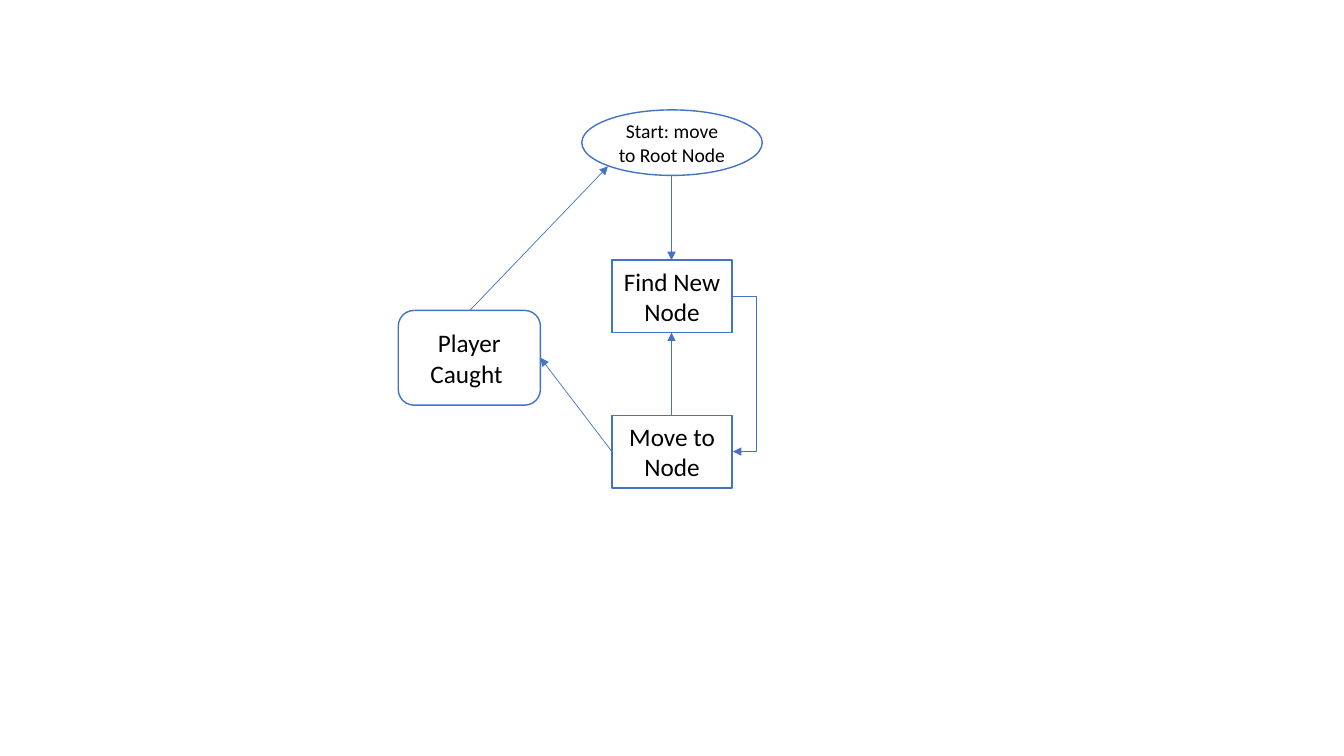
from lxml import etree
from pptx import Presentation
from pptx.dml.color import RGBColor
from pptx.enum.shapes import MSO_CONNECTOR, MSO_SHAPE
from pptx.enum.text import MSO_ANCHOR, PP_ALIGN
from pptx.oxml.ns import qn
from pptx.util import Pt

PX = 9144  # EMU per px, 100 px to the inch
FONT = "Calibri"
COLORS = {"paper": "FFFFFF", "outline": "4472C4", "text": "000000"}

OVAL = MSO_SHAPE.OVAL
PROCESS = MSO_SHAPE.FLOWCHART_PROCESS
ALTERNATE = MSO_SHAPE.FLOWCHART_ALTERNATE_PROCESS
STRAIGHT, ELBOW = MSO_CONNECTOR.STRAIGHT, MSO_CONNECTOR.ELBOW
MIDDLE, CENTER = MSO_ANCHOR.MIDDLE, PP_ALIGN.CENTER

# Node boxes: left, top, width, height in px
START = (577, 109, 179, 65)
FIND = (607, 258, 119, 72)
MOVE = (607, 412, 119, 72)
CAUGHT = (395, 308, 141, 94)


def color(name):
    return RGBColor.from_string(COLORS[name])


def side(box, across, down):
    """Point on a box, given as fractions of its width and height."""
    left, top, width, height = box
    return round(left + width * across), round(top + height * down)


def add_node(slide, kind, box, label, size=18):
    node = slide.shapes.add_shape(kind, *(v * PX for v in box))
    node.shadow.inherit = False
    node.fill.solid()
    node.fill.fore_color.rgb = color("paper")
    node.line.color.rgb = color("outline")
    node.line.width = Pt(1)
    frame = node.text_frame
    frame.word_wrap = True
    frame.vertical_anchor = MIDDLE
    frame.text = label
    paragraph = frame.paragraphs[0]
    paragraph.alignment = CENTER
    font = paragraph.runs[0].font
    font.name = FONT
    font.size = Pt(size)
    font.color.rgb = color("text")


def add_arrow(slide, start, end, kind=STRAIGHT):
    arrow = slide.shapes.add_connector(kind, *(v * PX for v in start + end))
    arrow.line.color.rgb = color("outline")
    arrow.line.width = Pt(0.5)
    etree.SubElement(arrow.line._get_or_add_ln(), qn("a:tailEnd"), type="triangle")
    properties = arrow._element.spPr
    etree.SubElement(properties, qn("a:effectLst"))
    return arrow


def add_loop_arrow(slide, start, end, reach):
    """Elbow arrow whose vertical part lies reach px right of its start."""
    arrow = add_arrow(slide, start, end, ELBOW)
    geometry = arrow._element.spPr.find(qn("a:prstGeom"))
    guides = geometry.find(qn("a:avLst"))
    bend = round(reach / (end[0] - start[0]) * 100000)
    etree.SubElement(guides, qn("a:gd"), name="adj1", fmla=f"val {bend}")


def main():
    deck = Presentation()
    deck.slide_width, deck.slide_height = 1333 * PX, 750 * PX
    slide = deck.slides.add_slide(deck.slide_layouts[6])

    # States
    add_node(slide, OVAL, START, "Start: move to Root Node", 14)
    add_node(slide, PROCESS, FIND, "Find New Node")
    add_node(slide, PROCESS, MOVE, "Move to Node")
    add_node(slide, ALTERNATE, CAUGHT, "Player Caught ")

    # Transitions
    add_arrow(slide, side(START, 0.5, 1), side(FIND, 0.5, 0))
    find_right, (move_x, move_y) = side(FIND, 1, 0.5), side(MOVE, 1, 0.5)
    add_loop_arrow(slide, find_right, (move_x + 1, move_y), 25)
    add_arrow(slide, side(MOVE, 0.5, 0), side(FIND, 0.5, 1))
    add_arrow(slide, side(MOVE, 0, 0.5), side(CAUGHT, 1, 0.5))
    add_arrow(slide, side(CAUGHT, 0.5, 0), side(START, 0.146, 0.854))

    deck.save("out.pptx")


if __name__ == "__main__":
    main()
